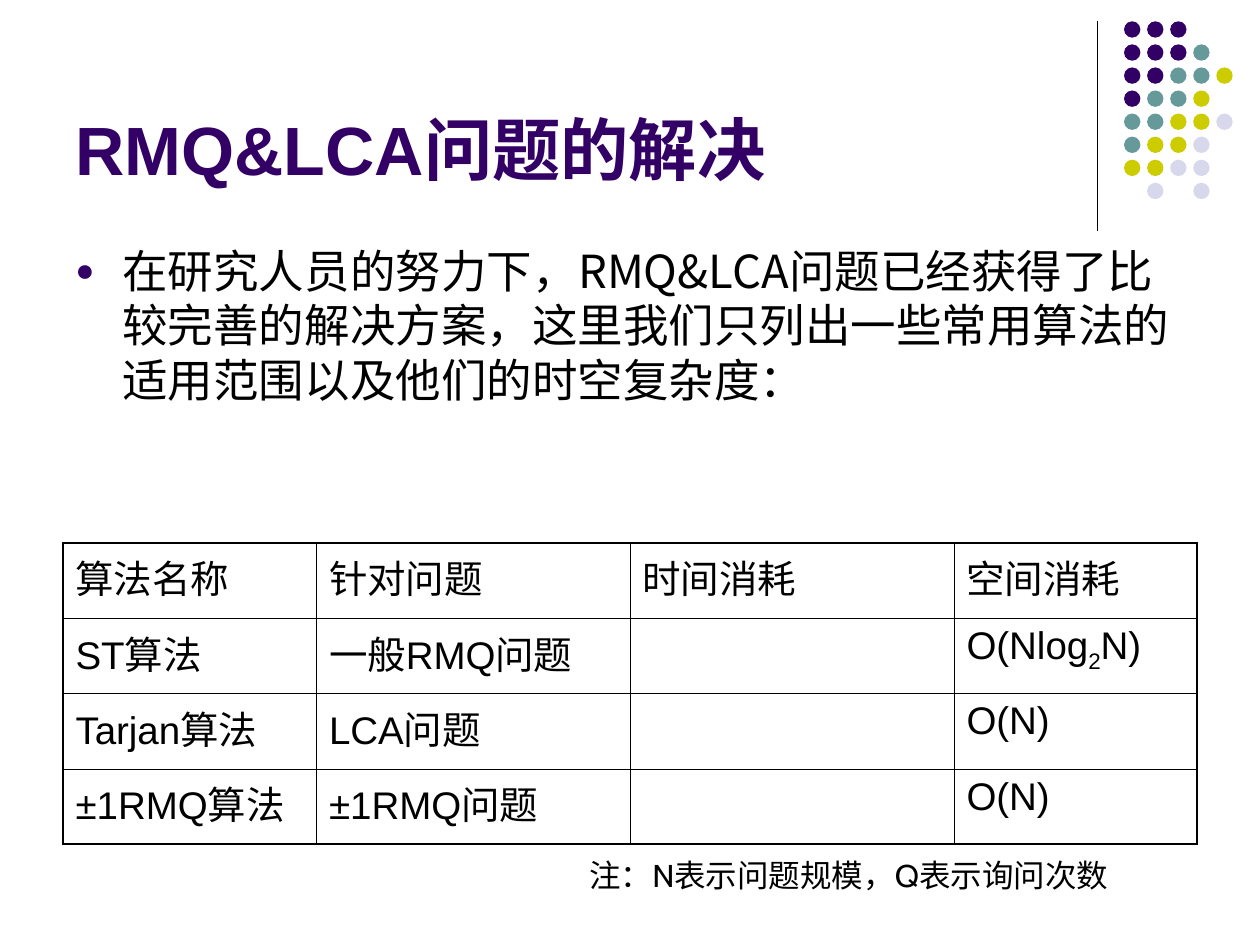
from lxml import etree
from pptx import Presentation
from pptx import util as u
from pptx.dml.color import RGBColor
from pptx.enum import shapes, text
from pptx.oxml import ns

PURPLE, TEAL, OLIVE, PALE, BLACK = "330066", "669999", "CCCC00", "D8D8EC", "000000"
EAST_ASIAN = "Noto Sans CJK SC"


def colour(value):
    return RGBColor.from_string(value)


def add_xml(parent, tag, **attributes):
    return etree.SubElement(parent, ns.qn(tag), attributes)


class Page:
    """The current slide and its style."""

    def __init__(self, deck):
        self.slide = deck.slides.add_slide(deck.slide_layouts[6])

    def line(self, x, top, bottom):
        rule = self.slide.shapes.add_connector(
            shapes.MSO_CONNECTOR.STRAIGHT, u.Cm(x), u.Cm(top), u.Cm(x), u.Cm(bottom))
        rule.line.color.rgb = colour(BLACK)
        rule.line.width = u.Pt(0.75)
        add_xml(rule._element.spPr, "a:effectLst")

    def dot(self, left, top, size, fill):
        circle = self.slide.shapes.add_shape(
            shapes.MSO_SHAPE.OVAL, u.Cm(left), u.Cm(top), u.Cm(size), u.Cm(size))
        circle.shadow.inherit = False
        circle.fill.solid()
        circle.fill.fore_color.rgb = colour(fill)
        circle.line.fill.background()

    def span(self, para, words, size, font="Arial", fill=BLACK, bold=False, baseline=0):
        span = para.add_run()
        span.text = words
        span.font.size, span.font.name, span.font.bold = u.Pt(size), font, bold
        span.font.color.rgb = colour(fill)
        properties = span.font._element
        add_xml(properties, "a:ea", typeface=EAST_ASIAN)
        if baseline:
            properties.set("baseline", str(baseline))

    def text(self, place, words, size, before=0, anchor=text.MSO_ANCHOR.TOP, **style):
        box = self.slide.shapes.add_textbox(*map(u.Cm, place))
        frame = box.text_frame
        frame.word_wrap = True
        frame.vertical_anchor = anchor
        para = frame.paragraphs[0]
        para.space_before = u.Pt(before)
        self.span(para, words, size, **style)
        return para

    def bullet(self, para, mark, fill, percent, indent):
        properties = para._p.get_or_add_pPr()
        properties.set("marL", str(u.Cm(indent)))
        properties.set("indent", str(-u.Cm(indent)))
        add_xml(add_xml(properties, "a:buClr"), "a:srgbClr", val=fill)
        add_xml(properties, "a:buSzPct", val=str(percent * 1000))
        add_xml(properties, "a:buFont", typeface="Arial")
        add_xml(properties, "a:buChar", char=mark)

    def border(self, cell, side, width):
        edge = add_xml(cell._tc.get_or_add_tcPr(), "a:ln" + side, w=str(u.Pt(width)))
        add_xml(add_xml(edge, "a:solidFill"), "a:srgbClr", val=BLACK)

    def table(self, place, widths, rows, size, before, outer, inner):
        grid = self.slide.shapes.add_table(
            len(rows), len(widths), *map(u.Cm, place)).table
        grid.first_row = grid.horz_banding = False
        for column, width in zip(grid.columns, widths):
            column.width = u.Cm(width)
        last_row, last_column = len(rows) - 1, len(widths) - 1
        for r, row in enumerate(rows):
            for c, spans in enumerate(row):
                cell = grid.cell(r, c)
                outside = {"L": c == 0, "R": c == last_column,
                           "T": r == 0, "B": r == last_row}
                for side, is_outer in outside.items():
                    self.border(cell, side, outer if is_outer else inner)
                cell.fill.background()
                para = cell.text_frame.paragraphs[0]
                para.space_before = u.Pt(before)
                para.font.size = u.Pt(size)
                for words, baseline in spans:
                    self.span(para, words, size, baseline=baseline)


def plain(words):
    return [(words, 0)] if words else []


def main():
    deck = Presentation()
    deck.slide_width, deck.slide_height = u.Cm(25.4), u.Cm(19.05)
    page = Page(deck)

    # Corner ornament: one letter per dot
    page.line(22.12, 0.42, 4.66)
    fills = {"p": PURPLE, "t": TEAL, "o": OLIVE, "l": PALE}
    pattern = ["ppp", "pppt", "pptto", "ptto", "ttool", "tool", "ooll", " l l"]
    pitch = 0.465
    for r, row in enumerate(pattern):
        for c, letter in enumerate(row):
            if letter in fills:
                page.dot(22.66 + c * pitch, 0.43 + r * pitch, 0.33, fills[letter])

    # Title
    page.text((1.27, 0.33, 20.96, 3.6), "RMQ&LCA问题的解决", 39,
              anchor=text.MSO_ANCHOR.BOTTOM, fill=PURPLE, bold=True)

    # Introduction
    intro = page.text(
        (1.27, 4.77, 22.86, 5.92),
        "在研究人员的努力下，RMQ&LCA问题已经获得了比较完善的解决方案，"
        "这里我们只列出一些常用算法的适用范围以及他们的时空复杂度：",
        26, before=6.5, font=EAST_ASIAN)
    page.bullet(intro, "●", PURPLE, 70, 0.95)

    # Comparison of algorithms
    rows = [
        [plain(w) for w in ("算法名称", "针对问题", "时间消耗", "空间消耗")],
        [plain("ST算法"), plain("一般RMQ问题"), [],
         [("O(Nlog", 0), ("2", -25000), ("N)", 0)]],
        [plain(w) for w in ("Tarjan算法", "LCA问题", "", "O(N)")],
        [plain(w) for w in ("±1RMQ算法", "±1RMQ问题", "", "O(N)")],
    ]
    page.table((1.27, 10.95, 22.86, 6.07), (5.11, 6.32, 6.53, 4.9), rows,
               size=22, before=5.5, outer=1.08, inner=0.45)

    # Note
    page.text((11.63, 17.14, 12.5, 1.02), "注：N表示问题规模，Q表示询问次数", 18,
              before=11.2, font="Cabin")

    deck.save("out.pptx")


if __name__ == "__main__":
    main()
